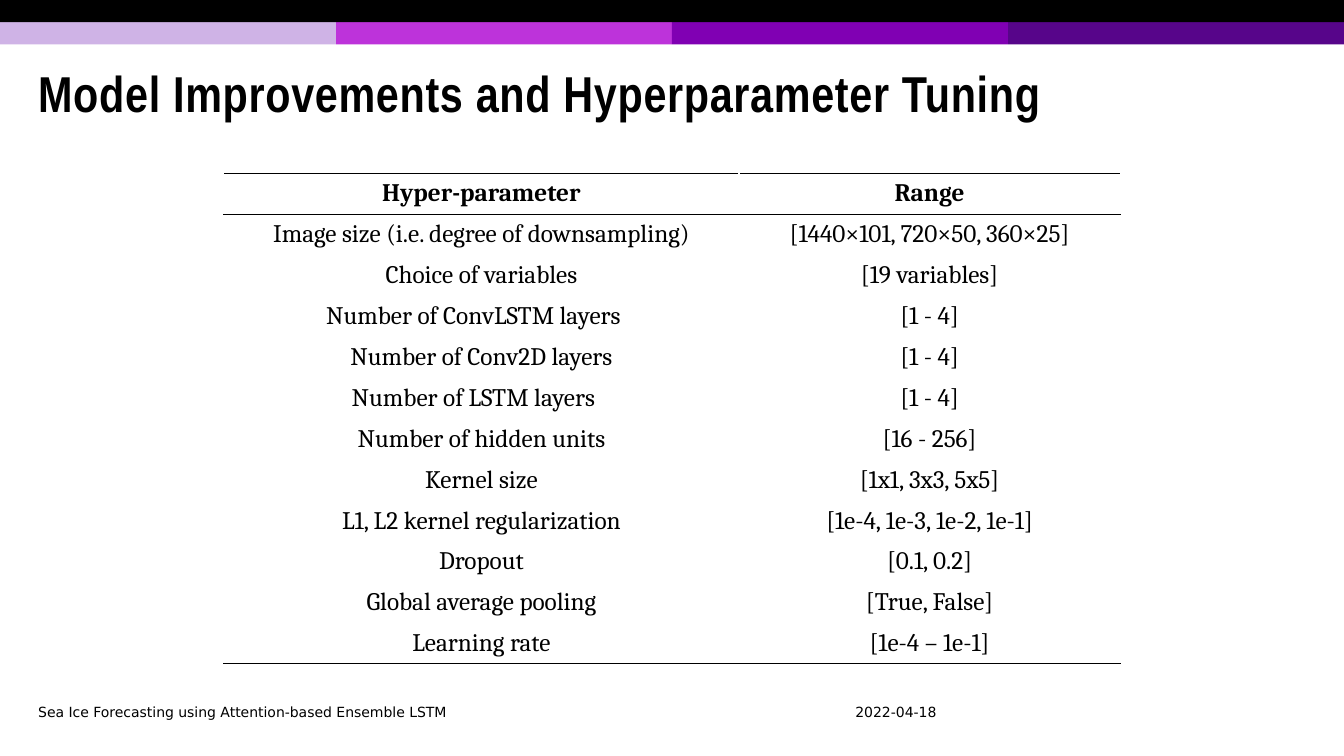
from dataclasses import dataclass

from lxml.etree import SubElement
from pptx import Presentation
from pptx.dml.color import RGBColor as Rgb
from pptx.enum.shapes import MSO_SHAPE as Shape
from pptx.enum.text import MSO_ANCHOR as Anchor, PP_ALIGN as Align
from pptx.oxml.ns import qn
from pptx.util import Inches, Pt


@dataclass(frozen=True)
class Theme:
    ink: str = "000000"
    paper: str = "FFFFFF"
    bands: tuple = ("CFB3E6", "BD33DA", "8000B3", "57058A")
    title_font: str = "Arial Narrow"
    table_font: str = "Cambria"
    footer_font: str = "DejaVu Sans"
    title_size: int = 36
    table_size: int = 18
    footer_size: int = 10


theme = Theme()

prs = Presentation()
prs.slide_width, prs.slide_height = Inches(13.33), Inches(7.5)
slide = prs.slides.add_slide(prs.slide_layouts[6])


def style_text(paragraph, font_name, size, bold=False, align=Align.LEFT):
    paragraph.alignment = align
    font = paragraph.runs[0].font
    font.name, font.size, font.bold = font_name, Pt(size), bold
    font.color.rgb = Rgb.from_string(theme.ink)


def add_text(text, left, top, width, height, *style):
    box = slide.shapes.add_textbox(Inches(left), Inches(top), Inches(width), Inches(height))
    frame = box.text_frame
    frame.word_wrap = True
    frame.vertical_anchor = Anchor.MIDDLE
    frame.text = text
    style_text(frame.paragraphs[0], *style)
    return frame.paragraphs[0]


band_width = 13.33 / 4
header_bars = [(i * band_width, 0.22, band_width, color) for i, color in enumerate(theme.bands)]
header_bars.append((0, 0, 13.33, theme.ink))
for left, top, width, color in header_bars:
    bar = slide.shapes.add_shape(
        Shape.RECTANGLE, Inches(left), Inches(top), Inches(width), Inches(0.22))
    bar.shadow.inherit = False
    bar.fill.solid()
    bar.fill.fore_color.rgb = Rgb.from_string(color)
    bar.line.fill.background()

title = add_text("Model Improvements and Hyperparameter Tuning",
                 0.28, 0.47, 12.65, 0.98, theme.title_font, theme.title_size, True)
title.line_spacing = 0.85
title.runs[0].font._element.set("spc", "50")

hyperparameters = [
    ("Hyper-parameter", "Range"),
    ("Image size (i.e. degree of downsampling)", "[1440×101, 720×50, 360×25]"),
    ("Choice of variables", "[19 variables]"),
    ("Number of ConvLSTM layers", "[1 - 4]"),
    ("Number of Conv2D layers", "[1 - 4]"),
    ("Number of LSTM layers", "[1 - 4]"),
    ("Number of hidden units", "[16 - 256]"),
    ("Kernel size", "[1x1, 3x3, 5x5]"),
    ("L1, L2 kernel regularization", "[1e-4, 1e-3, 1e-2, 1e-1]"),
    ("Dropout", "[0.1, 0.2]"),
    ("Global average pooling", "[True, False]"),
    ("Learning rate", "[1e-4 – 1e-1]"),
]
shifted_labels = ("Number of ConvLSTM layers", "Number of LSTM layers")
last_row = len(hyperparameters) - 1

table = slide.shapes.add_table(
    len(hyperparameters), 2, Inches(2.22), Inches(1.72), Inches(8.89), Inches(4.87)).table
table.first_row = table.horz_banding = False
table.columns[0].width, table.columns[1].width = Inches(5.11), Inches(3.78)

for row, entry in enumerate(hyperparameters):
    table.rows[row].height = Inches(4.87 / len(hyperparameters))
    rules = {
        "a:lnL": theme.paper,
        "a:lnR": theme.paper,
        "a:lnT": theme.ink if row <= 1 else theme.paper,
        "a:lnB": theme.ink if row in (0, last_row) else theme.paper,
    }
    for column, text in enumerate(entry):
        cell = table.cell(row, column)
        cell.text = text
        cell.vertical_anchor = Anchor.MIDDLE
        cell.margin_top = cell.margin_bottom = Inches(0.02)
        if text in shifted_labels:
            cell.margin_right = Inches(0.26)
        style_text(cell.text_frame.paragraphs[0], theme.table_font, theme.table_size,
                   row == 0, Align.CENTER)
        properties = cell._tc.get_or_add_tcPr()
        for side, color in rules.items():
            rule = SubElement(properties, qn(side), w=str(Pt(1)))
            SubElement(SubElement(rule, qn("a:solidFill")), qn("a:srgbClr"), val=color)
        cell.fill.background()

add_text("Sea Ice Forecasting using Attention-based Ensemble LSTM",
         0.28, 6.93, 5.72, 0.27, theme.footer_font, theme.footer_size)
add_text("2022-04-18", 8.24, 6.93, 1.29, 0.27,
         theme.footer_font, theme.footer_size, False, Align.CENTER)

prs.save("out.pptx")
